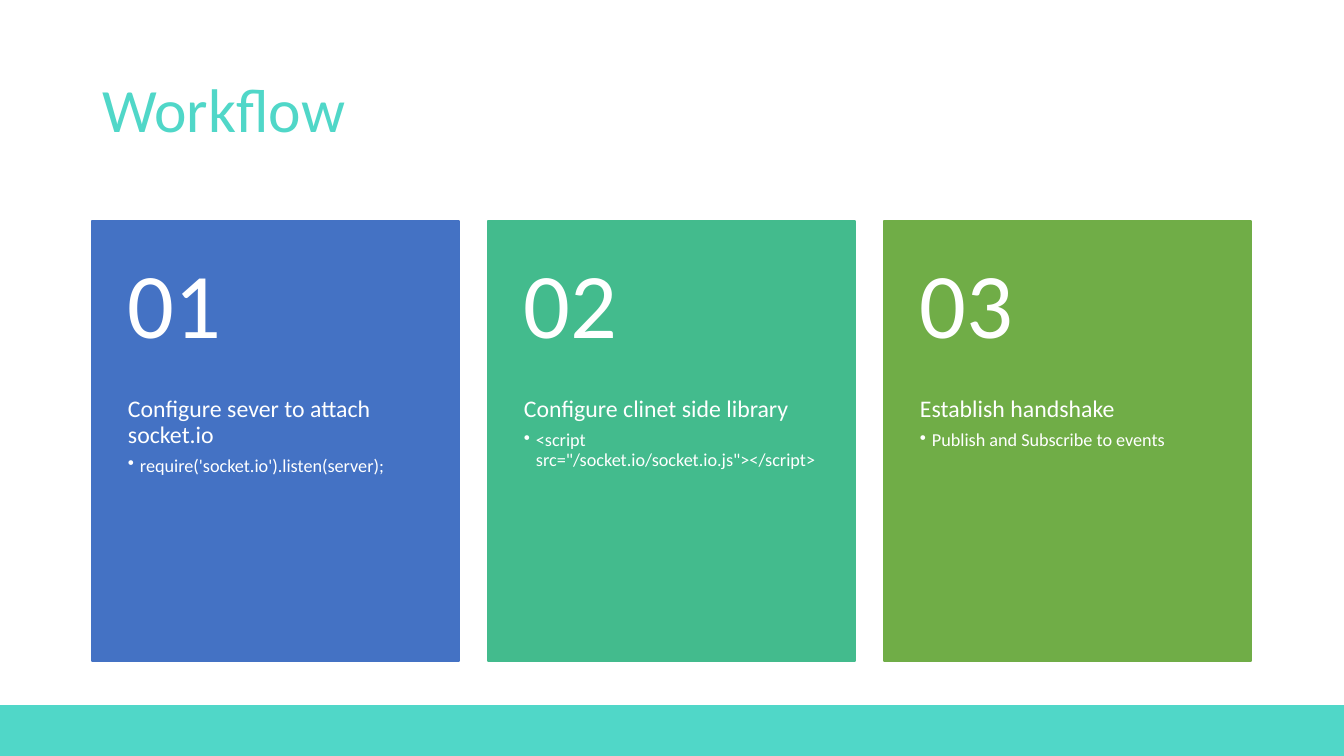
"""Build the Workflow slide with three numbered step cards."""
from lxml.etree import SubElement
from pptx import Presentation
from pptx.dml.color import RGBColor
from pptx.enum.shapes import MSO_SHAPE
from pptx.enum.text import MSO_ANCHOR, PP_ALIGN
from pptx.oxml.ns import qn
from pptx.util import Emu, Pt

COLORS = {
    "accent": "50D7C8",
    "blue": "4472C4",
    "teal": "43BB8D",
    "green": "70AD47",
    "white": "FFFFFF",
}
TITLE = "Workflow"
STEPS = [
    ("01", "Configure sever to attach socket.io", "require('socket.io').listen(server);", "blue"),
    ("02", "Configure clinet side library", '<script src="/socket.io/socket.io.js"></script>', "teal"),
    ("03", "Establish handshake", "Publish and Subscribe to events", "green"),
]
FONT = "Calibri"
SLIDE_W, SLIDE_H = 1344, 756
BAND_TOP = 705
MARGIN = 92
TITLE_TOP, TITLE_H = 40, 146
CARD_TOP, CARD_W, GAP = 221, 367, 29
NUMBER_H, BODY_H = 176, 264
INSET = 36
BULLET_INDENT = 12


def px(length):
    return Emu(round(length * 12192000 / SLIDE_W))


def rgb(name):
    return RGBColor.from_string(COLORS[name])


def add_block(slide, left, top, width, height, color):
    block = slide.shapes.add_shape(MSO_SHAPE.RECTANGLE, px(left), px(top), px(width), px(height))
    block.shadow.inherit = False
    block.fill.solid()
    block.fill.fore_color.rgb = rgb(color)
    return block


def add_frame(slide, left, top, height, inset_top, inset_bottom, anchor):
    frame = slide.shapes.add_textbox(px(left), px(top), px(CARD_W), px(height)).text_frame
    frame.word_wrap = True
    frame.vertical_anchor = anchor
    frame.margin_left = frame.margin_right = px(INSET)
    frame.margin_top, frame.margin_bottom = px(inset_top), px(inset_bottom)
    return frame


def write(paragraph, text, size, color="white", space_after=0):
    paragraph.text = text
    paragraph.alignment = PP_ALIGN.LEFT
    paragraph.line_spacing = 0.9
    paragraph.space_after = Pt(space_after)
    paragraph.font.name = FONT
    paragraph.font.size = Pt(size)
    paragraph.font.color.rgb = rgb(color)


def add_bullet(paragraph):
    paragraph.level = 1
    properties = paragraph._p.get_or_add_pPr()
    properties.set("marL", str(px(BULLET_INDENT)))
    properties.set("indent", str(-px(BULLET_INDENT)))
    SubElement(properties, qn("a:buChar"), char="•")


def add_step(slide, left, number, heading, detail, color):
    card = add_block(slide, left, CARD_TOP, CARD_W, NUMBER_H + BODY_H, color)
    card.line.color.rgb = rgb(color)
    card.line.width = Pt(1)

    body = add_frame(slide, left, CARD_TOP + NUMBER_H, BODY_H, 0, INSET, MSO_ANCHOR.TOP)
    write(body.paragraphs[0], heading, 17, space_after=6)
    bullet = body.add_paragraph()
    add_bullet(bullet)
    write(bullet, detail, 13, space_after=2)

    label = add_frame(slide, left, CARD_TOP, NUMBER_H, INSET / 2, INSET / 2, MSO_ANCHOR.MIDDLE)
    write(label.paragraphs[0], number, 66)


def main():
    deck = Presentation()
    deck.slide_width, deck.slide_height = px(SLIDE_W), px(SLIDE_H)
    slide = deck.slides.add_slide(deck.slide_layouts[5])

    band = add_block(slide, 0, BAND_TOP, SLIDE_W, SLIDE_H - BAND_TOP, "accent")
    band.line.fill.background()

    title = slide.shapes.title
    title.left, title.top = px(MARGIN), px(TITLE_TOP)
    title.width, title.height = px(SLIDE_W - 2 * MARGIN), px(TITLE_H)
    title.text_frame.vertical_anchor = MSO_ANCHOR.MIDDLE
    write(title.text_frame.paragraphs[0], TITLE, 44, "accent")

    for index, step in enumerate(STEPS):
        add_step(slide, MARGIN + index * (CARD_W + GAP), *step)

    deck.save("out.pptx")


if __name__ == "__main__":
    main()
